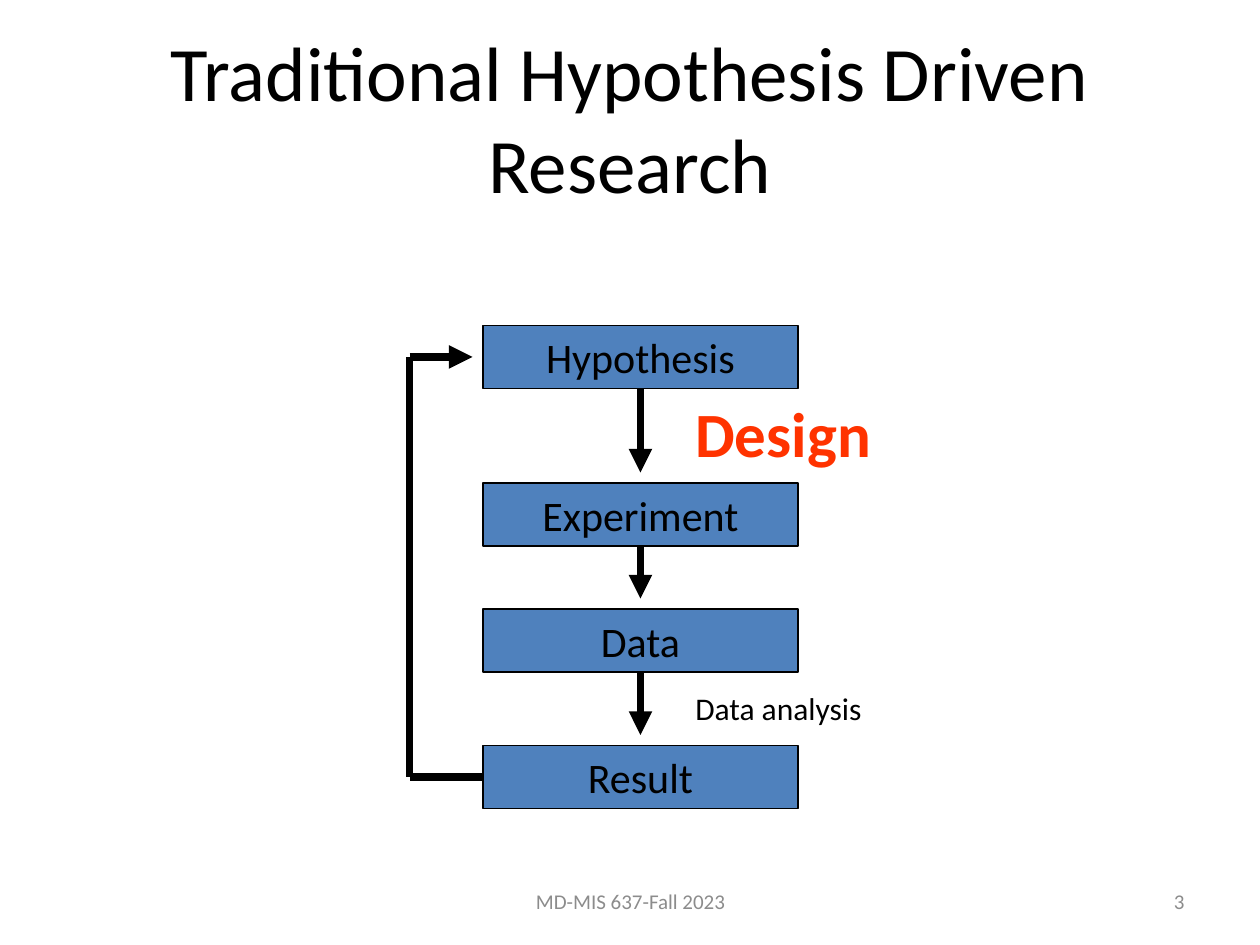
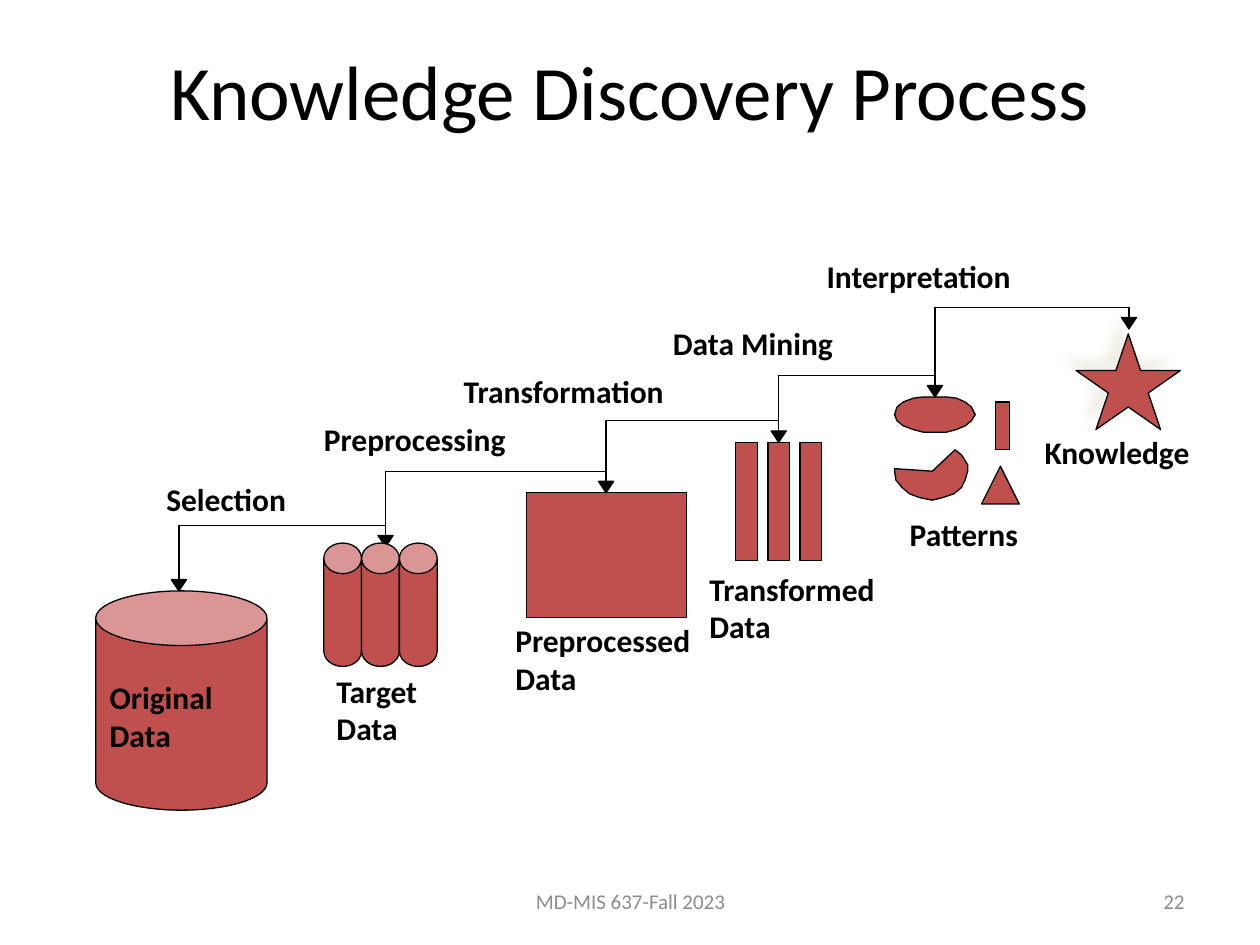
from lxml import etree
from pptx import Presentation
from pptx.dml.color import RGBColor
from pptx.enum.shapes import MSO_CONNECTOR, MSO_SHAPE
from pptx.enum.text import MSO_ANCHOR, MSO_AUTO_SIZE, PP_ALIGN
from pptx.oxml.ns import qn
from pptx.util import Inches, Pt

RECT, CAN = MSO_SHAPE.RECTANGLE, MSO_SHAPE.CAN
STAR, TRIANGLE = MSO_SHAPE.STAR_5_POINT, MSO_SHAPE.ISOSCELES_TRIANGLE
STRAIGHT = MSO_CONNECTOR.STRAIGHT
TOP, MIDDLE = MSO_ANCHOR.TOP, MSO_ANCHOR.MIDDLE
LEFT, CENTER, RIGHT = PP_ALIGN.LEFT, PP_ALIGN.CENTER, PP_ALIGN.RIGHT
GROW, FIXED = MSO_AUTO_SIZE.SHAPE_TO_FIT_TEXT, MSO_AUTO_SIZE.NONE

FONT = "Calibri"
BLACK, GREY, BLUE, RED, ORANGE = "000000", "8C8C8C", "4F81BD", "C0504D", "FF3300"
CELL = Inches(1) // 12
STEP = Inches(1) // 100
colour = RGBColor.from_string


def paint(shape, fill, weight):
    shape.shadow.inherit = False
    if fill:
        shape.fill.solid()
        shape.fill.fore_color.rgb = colour(fill)
    else:
        shape.fill.background()
    shape.line.color.rgb = colour(BLACK)
    shape.line.width = Pt(weight)


def write(box, lines, size, ink=BLACK, bold=False, align=LEFT, anchor=TOP,
          wrap=False, grow=False, inset=None):
    frame = box.text_frame
    frame.word_wrap = wrap
    frame.auto_size = GROW if grow else FIXED
    frame.vertical_anchor = anchor
    if inset is not None:
        frame.margin_left = frame.margin_right = inset
        frame.margin_top = frame.margin_bottom = inset
    for number, line in enumerate(lines):
        para = frame.add_paragraph() if number else frame.paragraphs[0]
        para.alignment = align
        span = para.add_run()
        span.text = line
        span.font.name = FONT
        span.font.size = Pt(size)
        span.font.bold = bold
        span.font.color.rgb = colour(ink)


deck = Presentation()
deck.slide_width, deck.slide_height = Inches(10), Inches(7.5)
pages = []
for title, title_anchor, number in [
    ("Traditional Hypothesis Driven Research", MIDDLE, "3"),
    ("Knowledge Discovery Process", TOP, "22"),
]:
    page = deck.slides.add_slide(deck.slide_layouts[6])
    pages.append(page)
    for text, place, size, ink, align, anchor in [
        (title, (50, 30, 900, 125), 44, BLACK, CENTER, title_anchor),
        ("MD-MIS 637-Fall 2023", (342, 695, 317, 40), 12, GREY, CENTER, MIDDLE),
        (number, (717, 695, 233, 40), 12, GREY, RIGHT, MIDDLE),
    ]:
        box = page.shapes.add_textbox(*(STEP * length for length in place))
        write(box, [text], size, ink, align=align, anchor=anchor, wrap=True)

research, discovery = pages

for stage, row in [("Hypothesis", 31), ("Experiment", 46), ("Data", 58), ("Result", 71)]:
    box = research.shapes.add_shape(RECT, CELL * 46, CELL * row, CELL * 30, CELL * 6)
    paint(box, BLUE, 1)
    write(box, [stage], 24, align=CENTER, anchor=MIDDLE)

for *ends, has_head in [
    (61, 37, 61, 45, True),
    (61, 52, 61, 57, True),
    (61, 64, 61, 70, True),
    (46, 74, 39, 74, False),
    (39, 74, 39, 34, False),
    (39, 34, 45, 34, True),
]:
    arrow = research.shapes.add_connector(STRAIGHT, *(CELL * end for end in ends))
    arrow.line.color.rgb = colour(BLACK)
    arrow.line.width = Pt(4.5)
    properties = arrow.element.spPr
    if has_head:
        etree.SubElement(properties.find(qn("a:ln")), qn("a:tailEnd"), type="triangle")
    etree.SubElement(properties, qn("a:effectLst"))

for note, place, size, ink, bold in [
    ("Design", (542, 308, 187, 70), 36, ORANGE, True),
    ("Data analysis", (542, 542, 170, 40), 18, BLACK, False),
]:
    box = research.shapes.add_textbox(*(STEP * length for length in place))
    write(box, [note], size, ink, bold, grow=True)

tips = [(142, 469), (306, 434), (481, 391), (618, 351), (742, 315), (896, 261)]
oval = [(742, 343), (733, 343), (725, 341), (717, 338), (712, 334), (710, 329),
        (712, 323), (717, 319), (725, 316), (733, 315), (751, 315), (759, 316),
        (766, 319), (771, 323), (774, 329), (771, 334), (766, 338), (759, 341),
        (751, 343)]
wedge = [(740, 374), (758, 357), (763, 361), (765, 364), (768, 369), (768, 374),
         (766, 381), (763, 387), (757, 392), (748, 395), (740, 397), (730, 395),
         (722, 392), (716, 387), (711, 381), (710, 374), (710, 372)]
outlines = [(oval, True, RED, 0), (wedge, True, RED, 0)]
for (x, y), (next_x, next_y) in zip(tips, tips[1:]):
    rail = next_y - 17
    elbow = [(x, y), (x, rail), (next_x, rail), (next_x, next_y)]
    outlines.append((elbow, False, None, 0))
for x, y in tips:
    outlines.append(([(x, y), (x - 6, y - 9), (x + 6, y - 9)], True, BLACK, 0.75))
for points, closed, fill, weight in outlines:
    builder = discovery.shapes.build_freeform(*points[0], scale=STEP)
    builder.add_line_segments(points[1:], close=closed)
    paint(builder.convert_to_shape(), fill, weight)

solids = [
    (CAN, (76, 469, 136, 174), 0.75, 0.319),
    (RECT, (418, 391, 127, 99), 0, None),
    (RECT, (790, 319, 11, 38), 0, None),
    (TRIANGLE, (779, 370, 30, 30), 0.75, 0.5),
    (STAR, (854, 265, 83, 76), 0.75, None),
]
for column in range(3):
    solids.append((RECT, (584 + 25.5 * column, 351, 17, 94), 0, None))
    solids.append((CAN, (257 + 30 * column, 431, 30, 98), 0.75, 0.812))
for kind, place, weight, bend in solids:
    solid = discovery.shapes.add_shape(kind, *(int(STEP * length) for length in place))
    paint(solid, RED, weight)
    if bend:
        solid.adjustments[0] = bend
    if kind == STAR:
        effects = solid.element.spPr.find(qn("a:effectLst"))
        shadow = etree.SubElement(effects, qn("a:outerShdw"), blurRad=str(Pt(5)),
                                  dist=str(Pt(8.5)), dir=str(225 * 60000))
        tint = etree.SubElement(shadow, qn("a:srgbClr"), val="EEECE1")
        etree.SubElement(tint, qn("a:alpha"), val="75000")

for lines, left, top, width in [
    (["Original", "Data"], 87, 538, 83),
    (["Target", "Data"], 267, 533, 65),
    (["Preprocessed", "Data"], 409, 493, 140),
    (["Transformed", "Data"], 563, 452, 132),
    (["Patterns"], 722, 409, 87),
    (["Knowledge"], 829, 344, 120),
    (["Selection"], 132, 381, 96),
    (["Preprocessing"], 257, 333, 151),
    (["Transformation"], 368, 295, 161),
    (["Data Mining"], 534, 257, 129),
    (["Interpretation"], 656, 204, 148),
]:
    place = (left, top, width, 30.5 * len(lines))
    label = discovery.shapes.add_textbox(*(int(STEP * length) for length in place))
    write(label, lines, 18, bold=True, grow=True, inset=0)

deck.save("out.pptx")
